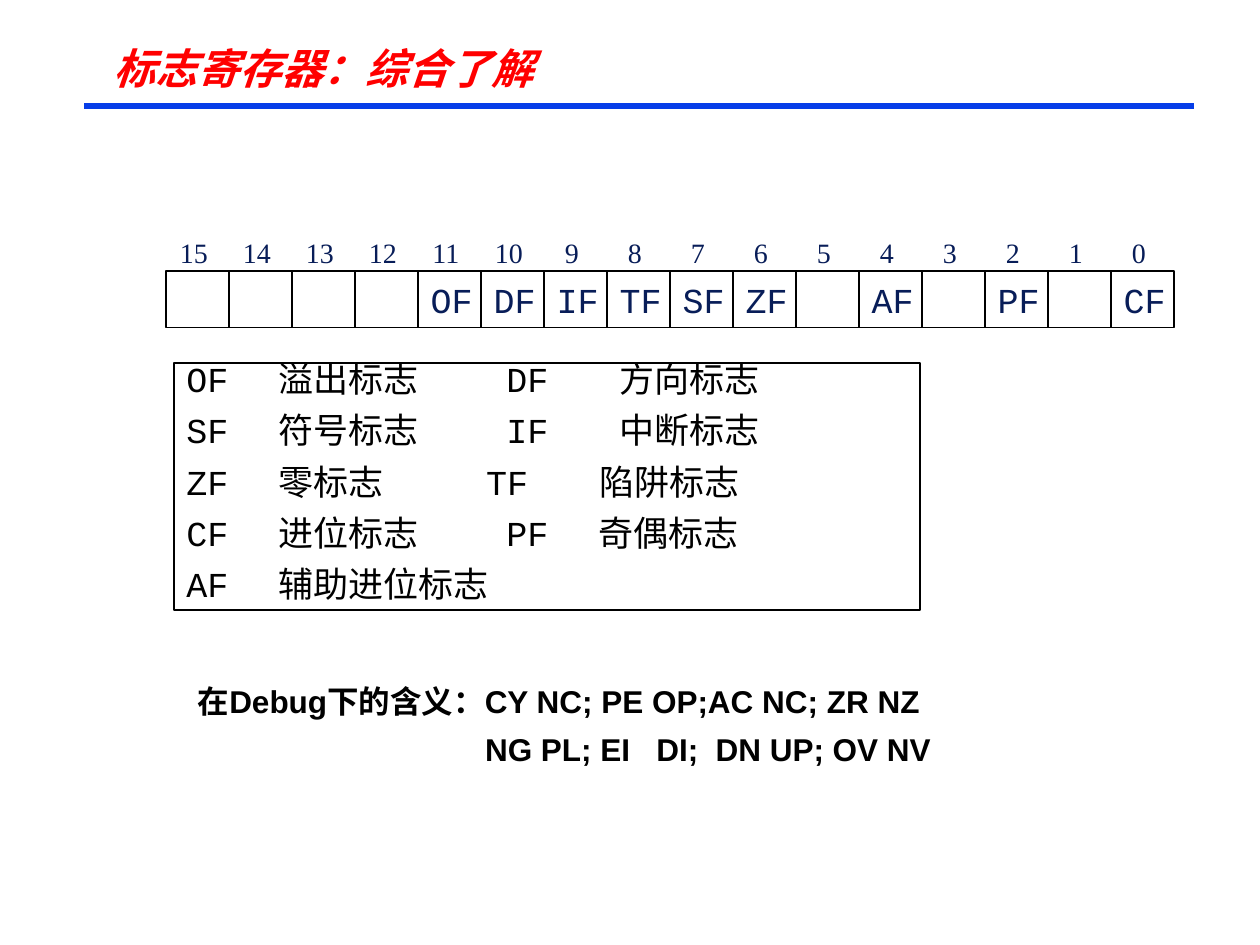
from lxml.etree import SubElement
from pptx import Presentation
from pptx.dml.color import RGBColor
from pptx.enum.shapes import MSO_CONNECTOR as Connector, MSO_SHAPE as Shape
from pptx.enum.text import MSO_ANCHOR as Anchor, PP_ALIGN as Align
from pptx.oxml.ns import qn
from pptx.util import Inches, Pt

RED = RGBColor(0xFF, 0x00, 0x00)
BLUE = RGBColor(0x06, 0x3D, 0xE8)
NAVY = RGBColor(0x08, 0x1D, 0x58)
BLACK = RGBColor(0x00, 0x00, 0x00)
CHINESE_FONT = "Noto Sans CJK SC"
CODE_FONT = "Courier New"

BITS = 16
CELL_WIDTH = 0.5
REGISTER_LEFT, REGISTER_TOP = 1.32, 2.15
FLAG_BITS = {11: "OF", 10: "DF", 9: "IF", 8: "TF", 7: "SF", 6: "ZF",
             4: "AF", 2: "PF", 0: "CF"}

# Words of each legend row, with the tab stops of all but the first
LEGEND = [
    (["OF", "溢出标志", "DF", "方向标志"], [0.73, 2.54, 3.44]),
    (["SF", "符号标志", "IF", "中断标志"], [0.73, 2.54, 3.44]),
    (["ZF", "零标志", "TF", "陷阱标志"], [0.73, 2.38, 3.28]),
    (["CF", "进位标志", "PF", "奇偶标志"], [0.73, 2.54, 3.27]),
    (["AF", "辅助进位标志"], [0.73]),
]


class SlideBuilder:
    def __init__(self, slide):
        self.slide = slide

    def rule(self, left, right, y):
        line = self.slide.shapes.add_connector(
            Connector.STRAIGHT, Inches(left), Inches(y), Inches(right), Inches(y))
        line.line.color.rgb = BLUE
        line.line.width = Pt(3.75)
        SubElement(line._element.spPr, qn("a:effectLst"))

    def box(self, left, top, width, height):
        """Add an unfilled rectangle with a thin black outline."""
        shape = self.slide.shapes.add_shape(
            Shape.RECTANGLE, Inches(left), Inches(top), Inches(width), Inches(height))
        shape.shadow.inherit = False
        shape.fill.background()
        shape.line.color.rgb = BLACK
        shape.line.width = Pt(1)
        return shape

    def text_box(self, left, top, width, height):
        return self.slide.shapes.add_textbox(
            Inches(left), Inches(top), Inches(width), Inches(height))

    def frame(self, shape, side=0.1, top=0.05, bottom=0.05, anchor=Anchor.TOP):
        """Set the margins and anchor of a shape's text."""
        frame = shape.text_frame
        frame.word_wrap = True
        frame.margin_left = frame.margin_right = Inches(side)
        frame.margin_top, frame.margin_bottom = Inches(top), Inches(bottom)
        frame.vertical_anchor = anchor
        return frame

    def add_rows(self, frame, rows, font, size, color, bold=False, italic=False,
                 line_spacing=None, space_before=0, tab_align="l"):
        """Add rows of (text, tab stops), one paragraph each."""
        for index, (text, stops) in enumerate(rows):
            paragraph = frame.add_paragraph() if index else frame.paragraphs[0]
            paragraph.alignment = Align.LEFT
            paragraph.space_before = Pt(space_before if index else 0)
            if line_spacing:
                paragraph.line_spacing = line_spacing
            if stops:
                tab_list = SubElement(paragraph._p.get_or_add_pPr(), qn("a:tabLst"))
                for stop in stops:
                    SubElement(tab_list, qn("a:tab"), pos=str(Inches(stop)), algn=tab_align)
            run = paragraph.add_run()
            run.text = text
            run.font.name = font
            run.font.size = Pt(size)
            run.font.color.rgb = color
            run.font.bold, run.font.italic = bold, italic
            SubElement(run._r.get_or_add_rPr(), qn("a:ea"), typeface=CHINESE_FONT)


def add_register(builder):
    for column in range(BITS):
        cell = builder.box(REGISTER_LEFT + column * CELL_WIDTH, REGISTER_TOP, CELL_WIDTH, 0.45)
        flag = FLAG_BITS.get(BITS - 1 - column)
        if flag:
            frame = builder.frame(cell, side=0.1, anchor=Anchor.MIDDLE)
            frame.word_wrap = False
            builder.add_rows(frame, [(flag, [])], CODE_FONT, 20, NAVY)

    numbers = builder.frame(builder.text_box(1.24, 1.82, 8.08, 0.37))
    text = "".join(f"\t{bit}" for bit in reversed(range(BITS)))
    stops = [0.2 + column * CELL_WIDTH for column in range(BITS)]
    builder.add_rows(numbers, [(text, stops)], "Times New Roman", 16, NAVY, tab_align="ctr")


def main():
    presentation = Presentation()
    presentation.slide_width, presentation.slide_height = Inches(10), Inches(7.5)
    builder = SlideBuilder(presentation.slides.add_slide(presentation.slide_layouts[6]))

    builder.rule(0.67, 9.48, 0.84)
    title = builder.frame(builder.text_box(0.83, 0.36, 5.75, 0.4),
                          side=0.07, top=0.03, bottom=0.03)
    builder.add_rows(title, [("标志寄存器：综合了解", [])], CHINESE_FONT, 24, RED,
                     bold=True, italic=True, line_spacing=0.87)

    legend = builder.frame(builder.box(1.38, 2.88, 5.92, 1.96))
    builder.add_rows(legend, [("\t".join(words), stops) for words, stops in LEGEND],
                     CODE_FONT, 20, BLACK, line_spacing=0.7, space_before=12.5)

    add_register(builder)

    debug = builder.frame(builder.text_box(0.98, 5.35, 7, 0.81),
                          side=0.07, top=0.11, bottom=0.07)
    debug_rows = [
        ("\t在Debug下的含义：CY NC; PE OP;AC NC; ZR NZ", [0.52]),
        ("\tNG PL; EI\tDI;\tDN UP; OV NV", [2.8, 4.16, 4.63]),
    ]
    builder.add_rows(debug, debug_rows, "Arial", 18, BLACK, bold=True,
                     line_spacing=0.85, space_before=9)

    presentation.save("out.pptx")


if __name__ == "__main__":
    main()
